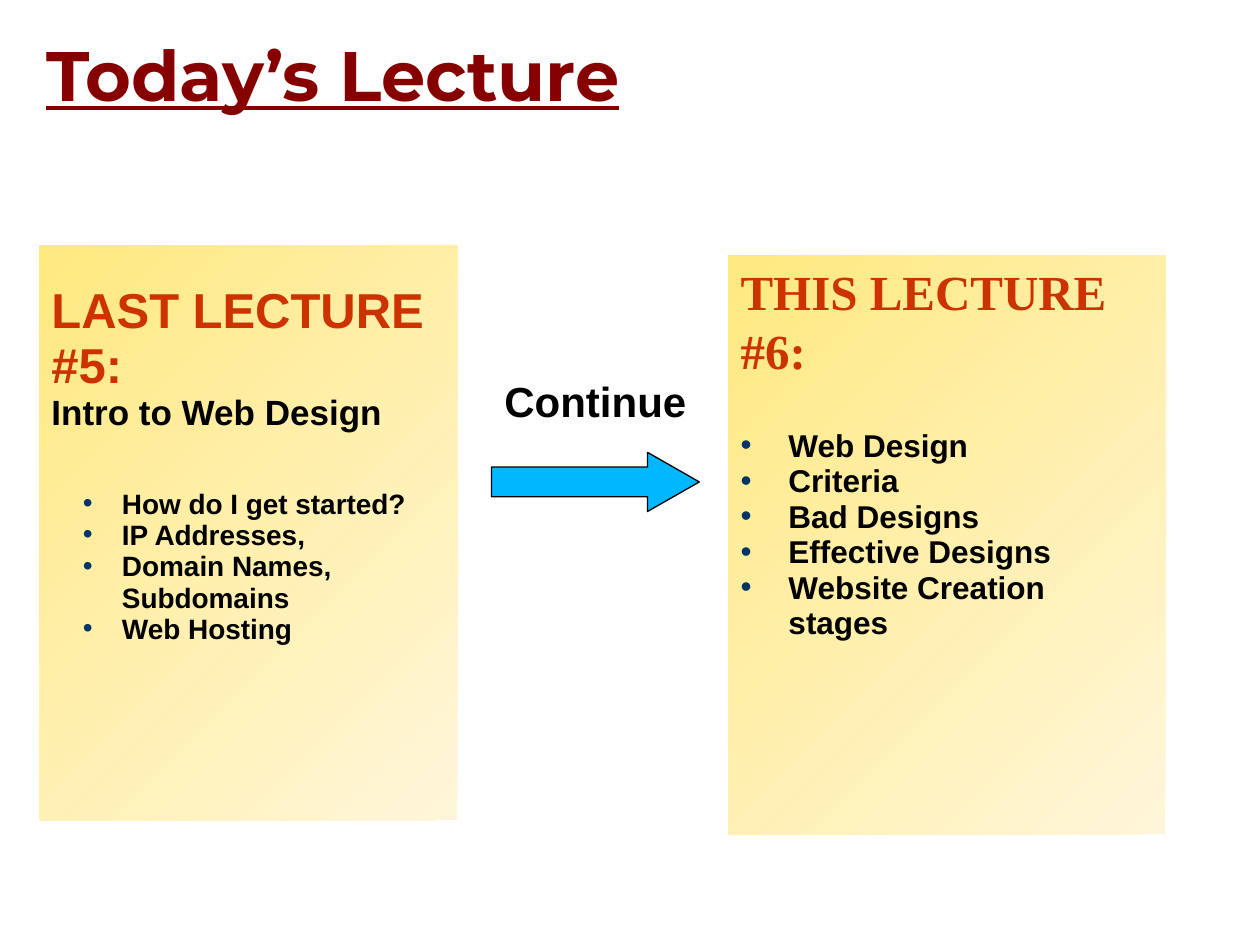
from lxml.etree import SubElement as Sub
from pptx import Presentation
from pptx.dml.color import RGBColor as Rgb
from pptx.enum.shapes import MSO_SHAPE as Shape
from pptx.enum.text import MSO_ANCHOR as Anchor, PP_ALIGN as Align
from pptx.oxml.ns import qn
from pptx.util import Inches, Pt

HUE = {"title": "860000", "head": "CC3300", "text": "000000", "dot": "003366",
       "cream": "FFF6DA", "gold": "FFE980", "arrow": "00B8FF"}


def shade(key):
    return Rgb.from_string(HUE[key])


def bullet(para, hang, pad):
    props = para._p.get_or_add_pPr()
    props.set("marL", str(Inches(pad + hang)))
    props.set("indent", str(-Inches(hang)))
    tint = Sub(props, qn("a:buClr"))
    Sub(tint, qn("a:srgbClr")).set("val", HUE["dot"])
    Sub(props, qn("a:buFont")).set("typeface", "Arial")
    Sub(props, qn("a:buChar")).set("char", "•")


def write(frame, text, size, hue="text", face="Arial", lead=1.12, gap=0,
          hang=0, pad=0, align=Align.LEFT, line=False):
    first = frame.paragraphs[0]
    para = frame.add_paragraph() if first.runs else first
    para.alignment = align
    if lead:
        para.line_spacing = Pt(round(size * lead, 1))
    if gap:
        para.space_before = Pt(gap)
    if hang:
        bullet(para, hang, pad)
    run = para.add_run()
    run.text = text
    font = run.font
    font.name, font.size, font.bold = face, Pt(size), True
    font.underline = line
    font.color.rgb = shade(hue)


def label(slide, box, text, size, anchor=Anchor.TOP, **form):
    frame = slide.shapes.add_textbox(*map(Inches, box)).text_frame
    frame.word_wrap = True
    frame.vertical_anchor = anchor
    write(frame, text, size, **form)


def panel(slide, box, top):
    card = slide.shapes.add_shape(Shape.RECTANGLE, *map(Inches, box))
    card.shadow.inherit = False
    card.line.fill.background()
    card.fill.gradient()
    card.fill.gradient_angle = 135
    for stop, key, place in zip(card.fill.gradient_stops, ("cream", "gold"), (0, 1)):
        stop.color.rgb = shade(key)
        stop.position = place
    frame = card.text_frame
    frame.word_wrap = True
    frame.vertical_anchor = Anchor.TOP
    frame.margin_top, frame.margin_right = Inches(top), Inches(0.2)
    return frame


def topics(frame, items, size, gap, hang, pad=0):
    for i, item in enumerate(items):
        write(frame, item, size, gap=0 if i else gap, hang=hang, pad=pad)


def last(slide, box):
    frame = panel(slide, box, 0.3)
    write(frame, "LAST LECTURE #5:", 28, hue="head")
    write(frame, "Intro to Web Design", 20)
    topics(frame, ["How do I get started?", "IP Addresses,",
                   "Domain Names, Subdomains", "Web Hosting"], 16, 32, 0.31, 0.25)


def current(slide, box):
    frame = panel(slide, box, 0.05)
    for text in ("THIS LECTURE", "#6:"):
        write(frame, text, 28, hue="head", face="Times New Roman", lead=1.2)
    topics(frame, ["Web Design", "Criteria", "Bad Designs", "Effective Designs",
                   "Website Creation stages"], 18, 28, 0.38)


def bridge(slide, box):
    left, top, width, height = box
    label(slide, (left, top, width, 0.47), "Continue", 24, align=Align.CENTER)
    spot = (left + 0.08, top + height - 0.47, 1.65, 0.47)
    arrow = slide.shapes.add_shape(Shape.RIGHT_ARROW, *map(Inches, spot))
    arrow.adjustments[0], arrow.adjustments[1] = 0.5, 0.875
    arrow.shadow.inherit = False
    arrow.fill.solid()
    arrow.fill.fore_color.rgb = shade("arrow")
    arrow.line.color.rgb = shade("text")
    arrow.line.width = Pt(0.75)


def main():
    deck = Presentation()
    deck.slide_width, deck.slide_height = Inches(10), Inches(7.5)
    slide = deck.slides.add_slide(deck.slide_layouts[6])
    last(slide, (0.31, 1.95, 3.32, 4.56))
    current(slide, (5.78, 2.03, 3.47, 4.59))
    bridge(slide, (3.82, 2.96, 1.81, 1.1))
    label(slide, (0.27, 0.16, 8.91, 0.84), "Today’s Lecture", 40, anchor=Anchor.MIDDLE,
          hue="title", face="Montserrat", lead=None, line=True)
    deck.save("out.pptx")


if __name__ == "__main__":
    main()
